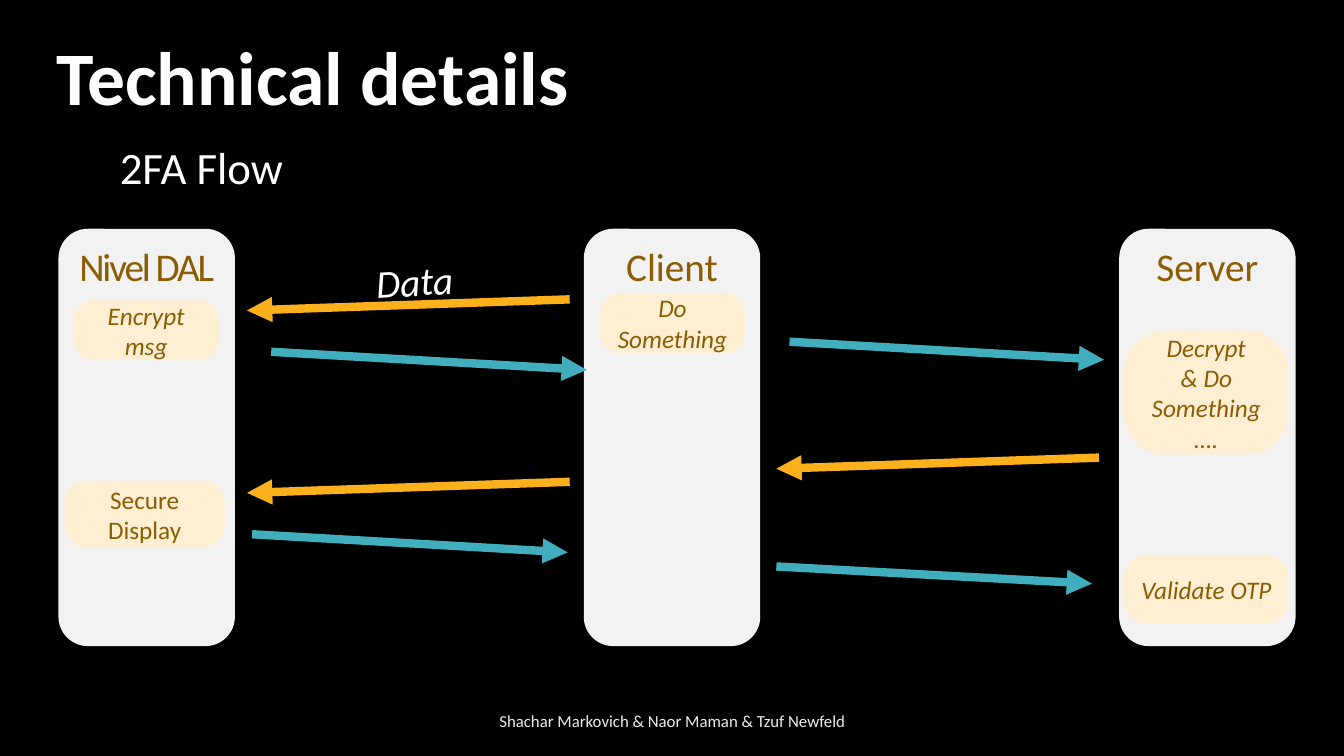
from dataclasses import dataclass

from lxml.etree import SubElement
from pptx import Presentation
from pptx.dml.color import RGBColor
from pptx.enum.shapes import MSO_CONNECTOR, MSO_SHAPE
from pptx.enum.text import MSO_ANCHOR, PP_ALIGN
from pptx.oxml.ns import qn
from pptx.util import Inches, Pt


@dataclass(frozen=True)
class Theme:
    font: str = "Calibri"
    background: str = "000000"
    light: str = "FFFFFF"
    footer: str = "EDEDED"
    column: str = "F2F2F2"
    step: str = "FEEFD2"
    brown: str = "8A5D02"
    orange: str = "FCB11C"
    teal: str = "41AEBD"
    title_size: int = 54
    subtitle_size: int = 32
    heading_size: int = 28
    step_size: int = 18
    footer_size: int = 12
    arrow_width: int = 6


theme = Theme()
deck = Presentation()
deck.slide_width, deck.slide_height = Inches(13.33), Inches(7.5)
page = deck.slides.add_slide(deck.slide_layouts[6])
page.background.fill.solid()
page.background.fill.fore_color.rgb = RGBColor.from_string(theme.background)


def add_text(text, place, size, color, fill=None, corner=None, align=PP_ALIGN.LEFT,
             anchor=MSO_ANCHOR.TOP, bold=False, italic=False, spacing=None, rotation=0):
    bounds = [Inches(length) for length in place]
    if fill:
        box = page.shapes.add_shape(MSO_SHAPE.ROUNDED_RECTANGLE, *bounds)
        box.shadow.inherit = False
        box.fill.solid()
        box.fill.fore_color.rgb = RGBColor.from_string(fill)
        box.line.fill.background()
        if corner:
            box.adjustments[0] = corner
    else:
        box = page.shapes.add_textbox(*bounds)
    box.rotation = rotation
    frame = box.text_frame
    frame.word_wrap = True
    frame.vertical_anchor = anchor
    for index, line in enumerate(text.split("\n")):
        para = frame.paragraphs[0] if index == 0 else frame.add_paragraph()
        para.alignment = align
        span = para.add_run()
        span.text = line
        span.font.name = theme.font
        span.font.size = Pt(size)
        span.font.bold = bold
        span.font.italic = italic
        span.font.color.rgb = RGBColor.from_string(color)
        if spacing:
            span.font._element.set("spc", str(spacing))
    return box


add_text("Shachar Markovich & Naor Maman & Tzuf Newfeld", (4.42, 6.95, 4.5, 0.4),
         theme.footer_size, theme.footer, align=PP_ALIGN.CENTER, anchor=MSO_ANCHOR.MIDDLE)
add_text("Technical details", (0.46, 0.25, 6.04, 1.01), theme.title_size, theme.light, bold=True)
add_text("2FA Flow", (1.09, 1.34, 4.43, 0.64), theme.subtitle_size, theme.light)

columns = [("Nivel DAL", 0.58, -150), ("Client", 5.79, None), ("Server", 11.1, None)]
for name, left, spacing in columns:
    add_text(name, (left, 2.27, 1.75, 4.14), theme.heading_size, theme.brown,
             fill=theme.column, align=PP_ALIGN.CENTER, spacing=spacing)

messages = [
    ((5.65, 2.97), (2.45, 3.08), theme.orange),
    ((2.69, 3.49), (5.82, 3.67), theme.teal),
    ((7.83, 3.39), (10.95, 3.57), theme.teal),
    ((10.9, 4.54), (7.7, 4.65), theme.orange),
    ((5.65, 4.78), (2.45, 4.89), theme.orange),
    ((2.5, 5.3), (5.63, 5.48), theme.teal),
    ((7.7, 5.62), (10.83, 5.79), theme.teal),
]
for start, end, color in messages:
    ends = [Inches(length) for length in start + end]
    arrow = page.shapes.add_connector(MSO_CONNECTOR.STRAIGHT, *ends)
    arrow.line.width = Pt(theme.arrow_width)
    arrow.line.color.rgb = RGBColor.from_string(color)
    SubElement(arrow.line._get_or_add_ln(), qn("a:tailEnd"), type="triangle")
    SubElement(arrow._element.spPr, qn("a:effectLst"))

add_text("Data", (3.63, 2.5, 0.99, 0.57), theme.heading_size, theme.light,
         italic=True, rotation=356.8)

steps = [
    ("Encrypt msg", (0.73, 2.98, 1.44, 0.59), True),
    ("Secure Display", (0.64, 4.77, 1.59, 0.66), False),
    ("Do Something", (5.95, 2.91, 1.44, 0.59), True),
    ("Decrypt\n& Do Something….", (11.15, 3.28, 1.63, 1.23), True),
    ("Validate OTP", (11.15, 5.51, 1.63, 0.68), True),
]
for text, place, italic in steps:
    add_text(text, place, theme.step_size, theme.brown, fill=theme.step, corner=0.333,
             align=PP_ALIGN.CENTER, anchor=MSO_ANCHOR.MIDDLE, italic=italic)

deck.save("out.pptx")
